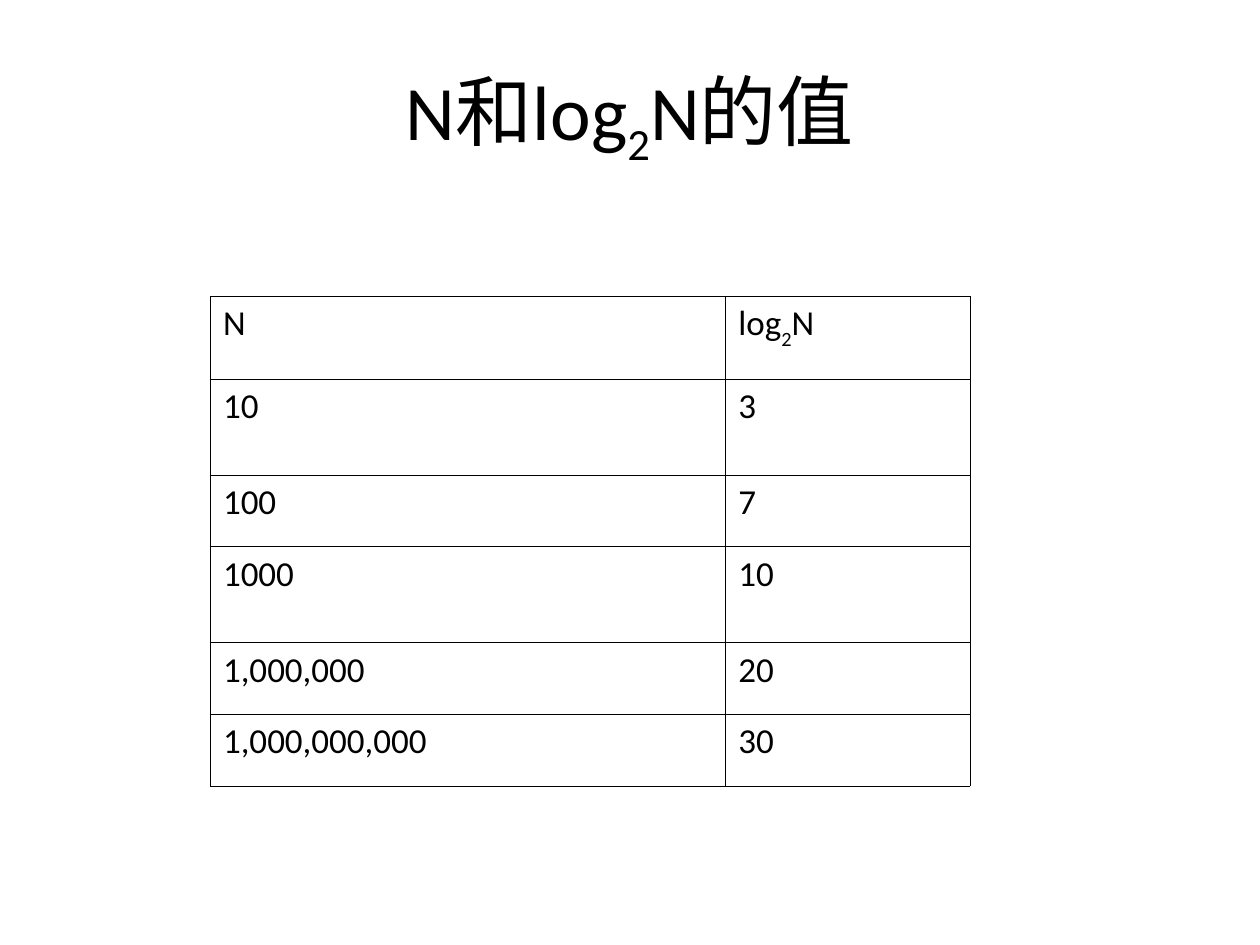
"""Build a slide with a table comparing N with its base-2 logarithm."""

from dataclasses import dataclass

from lxml.etree import SubElement
from pptx import Presentation
from pptx.dml.color import RGBColor
from pptx.enum.text import MSO_ANCHOR, PP_ALIGN
from pptx.oxml.ns import qn
from pptx.slide import Slide
from pptx.table import _Cell
from pptx.text.text import _Paragraph
from pptx.util import Inches, Pt


@dataclass(frozen=True)
class Theme:
    font: str = "Calibri"
    ink: str = "000000"
    title_size: float = 44
    cell_size: float = 20
    border_width: float = 0.45


@dataclass(frozen=True)
class Piece:
    text: str
    baseline: int = 0


@dataclass(frozen=True)
class TableRow:
    height: float
    number: list[Piece]
    logarithm: list[Piece]


THEME = Theme()
TITLE = [Piece("N和log"), Piece("2", -25), Piece("N的值")]
COLUMN_WIDTHS = [4.09, 1.94]
ROWS = [
    TableRow(0.66, [Piece("N")], [Piece("log"), Piece("2", -30), Piece("N")]),
    TableRow(0.76, [Piece("10")], [Piece("3")]),
    TableRow(0.57, [Piece("100")], [Piece("7")]),
    TableRow(0.76, [Piece("1000")], [Piece("10")]),
    TableRow(0.57, [Piece("1,000,000")], [Piece("20")]),
    TableRow(0.57, [Piece("1,000,000,000")], [Piece("30")]),
]


def add_pieces(paragraph: _Paragraph, pieces: list[Piece], size: float) -> None:
    for piece in pieces:
        run = paragraph.add_run()
        run.text = piece.text
        run.font.name = THEME.font
        run.font.size = Pt(size)
        run.font.bold = False
        run.font.color.rgb = RGBColor.from_string(THEME.ink)
        if piece.baseline:
            run._r.get_or_add_rPr().set("baseline", str(piece.baseline * 1000))


def add_borders(cell: _Cell) -> None:
    properties = cell._tc.get_or_add_tcPr()
    for position, side in enumerate(("a:lnL", "a:lnR", "a:lnT", "a:lnB")):
        line = SubElement(properties, qn(side), w=str(Pt(THEME.border_width)))
        properties.insert(position, line)
        fill = SubElement(line, qn("a:solidFill"))
        SubElement(fill, qn("a:srgbClr"), val=THEME.ink)


def add_title(slide: Slide) -> None:
    title = slide.shapes.add_textbox(Inches(0.5), Inches(0.3), Inches(9), Inches(1.25))
    frame = title.text_frame
    frame.word_wrap = True
    frame.vertical_anchor = MSO_ANCHOR.MIDDLE
    paragraph = frame.paragraphs[0]
    paragraph.alignment = PP_ALIGN.CENTER
    add_pieces(paragraph, TITLE, THEME.title_size)


def add_logarithm_table(slide: Slide) -> None:
    width = sum(COLUMN_WIDTHS)
    height = sum(row.height for row in ROWS)
    table = slide.shapes.add_table(
        len(ROWS), len(COLUMN_WIDTHS),
        Inches(1.67), Inches(2.35), Inches(width), Inches(height),
    ).table
    table.first_row = False
    table.horz_banding = False
    for column, column_width in zip(table.columns, COLUMN_WIDTHS):
        column.width = Inches(column_width)
    for table_row, row in zip(table.rows, ROWS):
        table_row.height = Inches(row.height)
        for cell, pieces in zip(table_row.cells, (row.number, row.logarithm)):
            cell.fill.background()
            add_borders(cell)
            add_pieces(cell.text_frame.paragraphs[0], pieces, THEME.cell_size)


def main() -> None:
    presentation = Presentation()
    presentation.slide_width = Inches(10)
    presentation.slide_height = Inches(7.5)
    slide = presentation.slides.add_slide(presentation.slide_layouts[6])
    add_title(slide)
    add_logarithm_table(slide)
    presentation.save("out.pptx")


if __name__ == "__main__":
    main()
